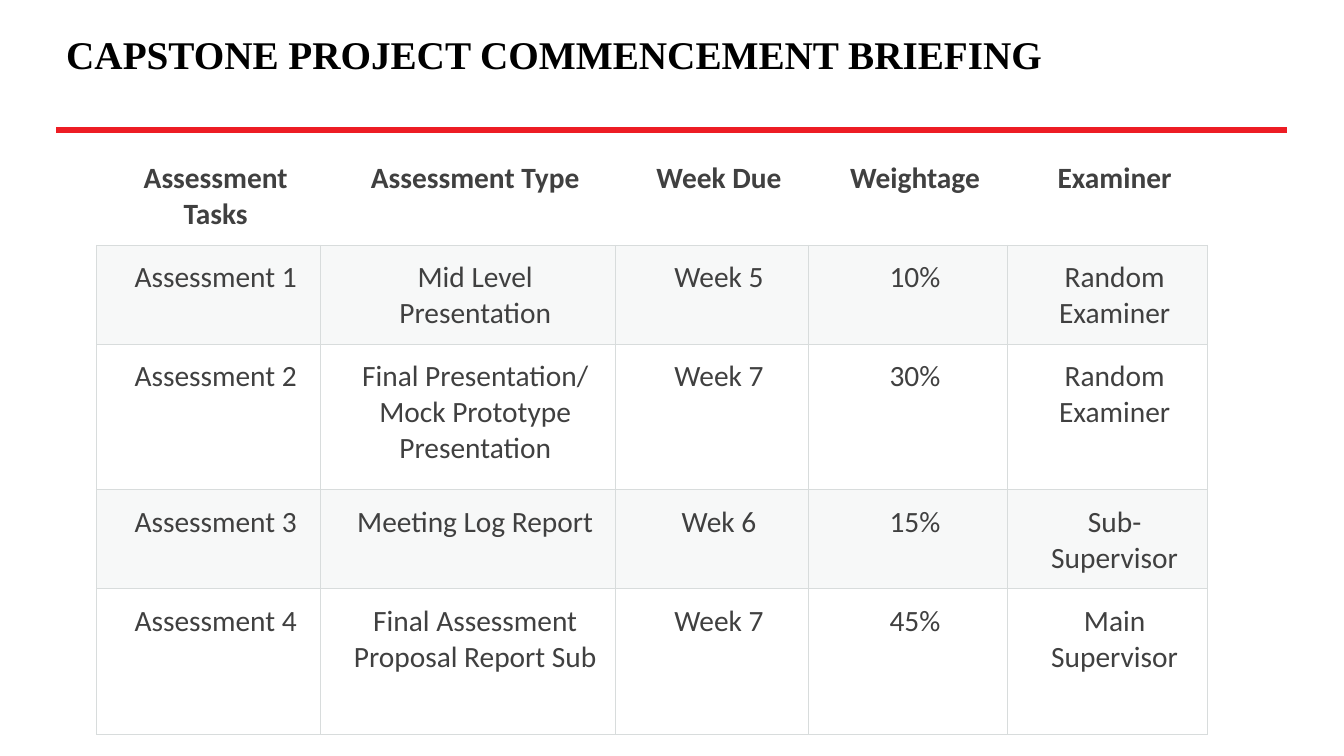
from lxml.etree import SubElement
from pptx import Presentation
from pptx.dml.color import RGBColor
from pptx.enum.shapes import MSO_CONNECTOR
from pptx.enum.text import MSO_ANCHOR, PP_ALIGN
from pptx.oxml.ns import qn
from pptx.util import Cm, Pt

COLOURS = {
    "rule": "ED1D24",
    "title": "000000",
    "text": "404040",
    "border": "D8DCDC",
    "band": "D8DEDC",
}
COLUMN_WIDTHS = [5.64, 7.44, 4.85, 5.03, 5.03]
ROW_HEIGHTS = [2.5, 2.5, 3.66, 2.5, 3.66]
ASSESSMENTS = [
    ["Assessment Tasks", "Assessment Type", "Week Due", "Weightage", "Examiner"],
    ["Assessment 1", "Mid Level Presentation", "Week 5", "10%", "Random Examiner"],
    ["Assessment 2", "Final Presentation/ Mock Prototype Presentation", "Week 7", "30%", "Random Examiner"],
    ["Assessment 3", "Meeting Log Report", "Wek 6", "15%", "Sub-Supervisor"],
    ["Assessment 4", "Final Assessment Proposal Report Sub", "Week 7", "45%", "Main Supervisor"],
]


def colour(name):
    """Return the named colour."""
    return RGBColor.from_string(COLOURS[name])


def format_runs(paragraph, font_name, size, colour_name, bold):
    """Format every run of a paragraph."""
    for run in paragraph.runs:
        run.font.name = font_name
        run.font.size = Pt(size)
        run.font.bold = bold
        run.font.color.rgb = colour(colour_name)


def add_rule(slide, left, right, top):
    """Draw the horizontal line under the title."""
    rule = slide.shapes.add_connector(
        MSO_CONNECTOR.STRAIGHT, Cm(left), Cm(top), Cm(right), Cm(top)
    )
    rule.line.color.rgb = colour("rule")
    rule.line.width = Pt(4)
    SubElement(rule._element.spPr, qn("a:effectLst"))


def add_title(slide, text, left, top, width, height):
    """Add the title text box."""
    shape = slide.shapes.add_textbox(Cm(left), Cm(top), Cm(width), Cm(height))
    text_frame = shape.text_frame
    text_frame.word_wrap = True
    text_frame.text = text
    format_runs(text_frame.paragraphs[0], "Times New Roman", 28, "title", True)


def add_borders(cell, sides):
    """Draw thin borders on the given sides of a cell."""
    properties = cell._tc.get_or_add_tcPr()
    for side in sides:
        line = SubElement(properties, qn(f"a:ln{side}"), w=str(Pt(0.75)))
        fill = SubElement(line, qn("a:solidFill"))
        SubElement(fill, qn("a:srgbClr"), val=COLOURS["border"])


def fill_cell(cell, banded):
    """Give a cell a faint band or no fill."""
    if not banded:
        cell.fill.background()
        return
    cell.fill.solid()
    cell.fill.fore_color.rgb = colour("band")
    band = cell._tc.tcPr.find(qn("a:solidFill")).find(qn("a:srgbClr"))
    SubElement(band, qn("a:alpha"), val="20000")


def format_cell(cell, text, row_index):
    """Write a cell and style it according to its row."""
    header = row_index == 0
    cell.margin_left = Cm(0.71)
    cell.margin_right = cell.margin_top = cell.margin_bottom = Cm(0.36)
    cell.vertical_anchor = MSO_ANCHOR.TOP
    cell.text_frame.text = text
    paragraph = cell.text_frame.paragraphs[0]
    paragraph.alignment = PP_ALIGN.CENTER
    format_runs(paragraph, "Calibri", 21, "text", header)
    add_borders(cell, "B" if header else "LRTB")
    fill_cell(cell, row_index % 2 == 1)


def add_assessment_table(slide, left, top):
    """Add the table of assessments."""
    table = slide.shapes.add_table(
        len(ROW_HEIGHTS), len(COLUMN_WIDTHS), Cm(left), Cm(top),
        Cm(sum(COLUMN_WIDTHS)), Cm(sum(ROW_HEIGHTS)),
    ).table
    table.horz_banding = False
    for column, width in zip(table.columns, COLUMN_WIDTHS):
        column.width = Cm(width)
    for row_index, (row, height) in enumerate(zip(table.rows, ROW_HEIGHTS)):
        row.height = Cm(height)
        for cell, text in zip(row.cells, ASSESSMENTS[row_index]):
            format_cell(cell, text, row_index)


def main():
    """Build and save the slide."""
    presentation = Presentation()
    presentation.slide_width = Cm(33.87)
    presentation.slide_height = Cm(19.05)
    slide = presentation.slides.add_slide(presentation.slide_layouts[6])
    add_rule(slide, 1.42, 32.44, 3.28)
    add_title(slide, "CAPSTONE PROJECT COMMENCEMENT BRIEFING", 1.42, 0.64, 26, 1.45)
    add_assessment_table(slide, 2.44, 3.68)
    presentation.save("out.pptx")


if __name__ == "__main__":
    main()
